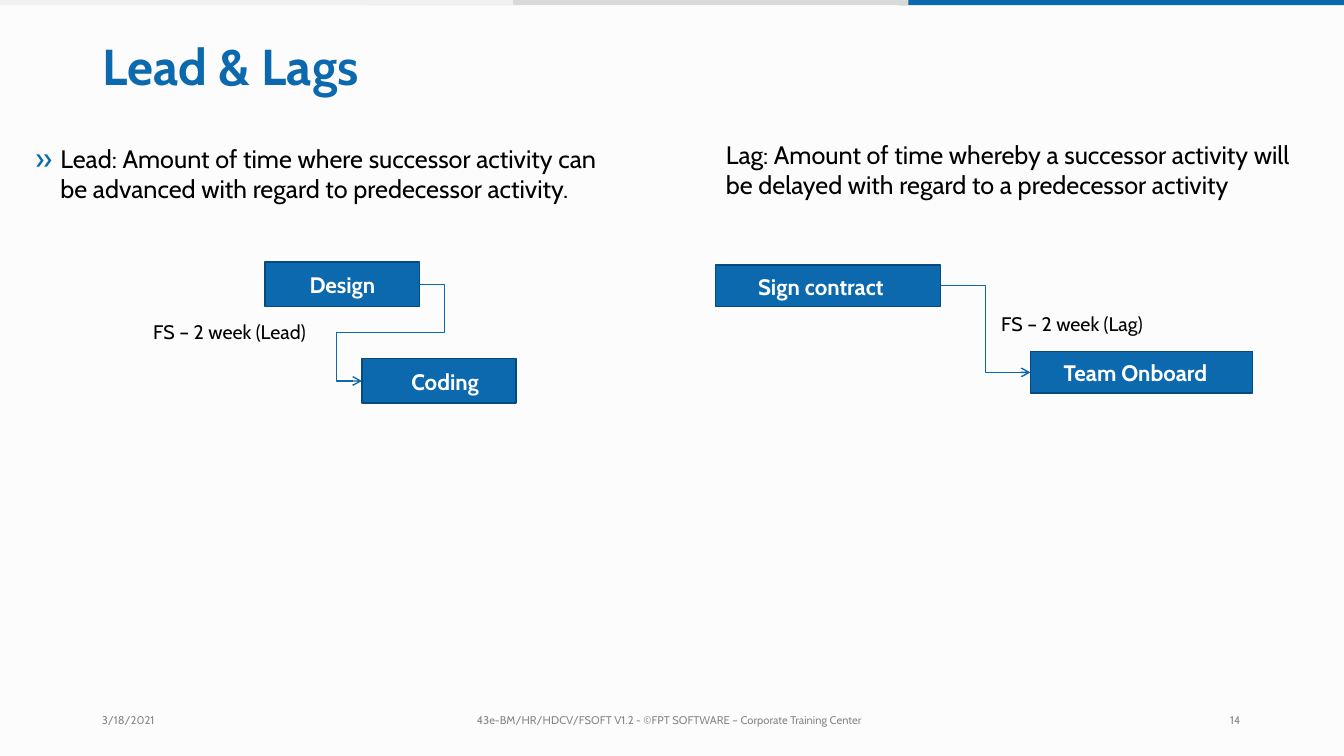
from lxml.etree import SubElement
from pptx import Presentation
from pptx.dml.color import RGBColor
from pptx.enum.shapes import MSO_CONNECTOR as Connector, MSO_SHAPE as Shape
from pptx.enum.text import MSO_ANCHOR as Anchor, PP_ALIGN as Align
from pptx.oxml.ns import qn
from pptx.util import Inches, Pt

BLUE = RGBColor(0x0D, 0x69, 0xAE)
NAVY = RGBColor(0x07, 0x4A, 0x80)
SILVER = RGBColor(0xD9, 0xD9, 0xD9)
PALE = RGBColor(0xF1, 0xF1, 0xF1)
PAPER = RGBColor(0xFC, 0xFC, 0xFC)
GRAY = RGBColor(0x88, 0x88, 0x88)
BLACK = RGBColor(0, 0, 0)
WHITE = RGBColor(0xFF, 0xFF, 0xFF)

TITLE = {"size": Pt(36), "bold": True}
BODY = {"size": Pt(18)}
ACTIVITY = {"size": Pt(16), "bold": True}
LABEL = {"size": Pt(14)}
FOOTER = {"size": Pt(8)}


class SlideBuilder:
    """Draws styled elements on one slide."""

    font_name = "Cabin"

    def __init__(self, slide):
        self.slide = slide
        slide.background.fill.solid()
        slide.background.fill.fore_color.rgb = PAPER

    def fill_text(self, shape, text, style, color, inset=0):
        frame = shape.text_frame
        layout = {"word_wrap": True, "margin_left": Inches(inset), "margin_right": 0,
                  "margin_top": Inches(0.01), "margin_bottom": 0}
        for name, value in layout.items():
            setattr(frame, name, value)
        paragraph = frame.paragraphs[0]
        paragraph.text = text
        font = paragraph.runs[0].font
        for name, value in {"name": self.font_name, **style}.items():
            setattr(font, name, value)
        font.color.rgb = color
        return paragraph

    def text(self, left, top, width, height, text, style, color=BLACK):
        box = self.slide.shapes.add_textbox(*map(Inches, (left, top, width, height)))
        return self.fill_text(box, text, style, color)

    def bullet(self, paragraph, character, indent):
        properties = paragraph._p.get_or_add_pPr()
        properties.set("marL", str(Inches(indent)))
        properties.set("indent", str(-Inches(indent)))
        color = SubElement(properties, qn("a:buClr"))
        SubElement(color, qn("a:srgbClr"), val=str(BLUE))
        SubElement(properties, qn("a:buSzPct"), val="119000")
        SubElement(properties, qn("a:buFont"), typeface=self.font_name)
        SubElement(properties, qn("a:buChar"), char=character)

    def rectangle(self, left, top, width, height, color):
        shape = self.slide.shapes.add_shape(
            Shape.RECTANGLE, *map(Inches, (left, top, width, height)))
        shape.shadow.inherit = False
        shape.fill.solid()
        shape.fill.fore_color.rgb = color
        shape.line.fill.background()
        return shape

    def activity(self, left, top, width, height, text, inset):
        shape = self.rectangle(left, top, width, height, BLUE)
        shape.line.color.rgb = NAVY
        shape.line.width = Pt(0.96)
        paragraph = self.fill_text(shape, text, ACTIVITY, WHITE, inset)
        paragraph.alignment = Align.LEFT
        shape.text_frame.vertical_anchor = Anchor.MIDDLE
        return shape

    def arrow(self, predecessor, successor, preset="bentConnector3", bends=(50000,)):
        connector = self.slide.shapes.add_connector(Connector.ELBOW, 0, 0, 0, 0)
        connector.begin_connect(predecessor, 3)
        connector.end_connect(successor, 1)
        connector.line.color.rgb = BLUE
        connector.line.width = Pt(1)
        properties = connector._element.spPr
        SubElement(properties, qn("a:effectLst"))
        SubElement(properties.find(qn("a:ln")), qn("a:tailEnd"), type="arrow")
        geometry = properties.find(qn("a:prstGeom"))
        geometry.set("prst", preset)
        guides = geometry.find(qn("a:avLst"))
        for number, bend in enumerate(bends, 1):
            SubElement(guides, qn("a:gd"), name=f"adj{number}", fmla=f"val {bend}")


def main():
    presentation = Presentation()
    presentation.slide_width = Inches(13.33)
    presentation.slide_height = Inches(7.5)
    builder = SlideBuilder(presentation.slides.add_slide(presentation.slide_layouts[6]))

    for left, width, color in ((8.92, 4.41, BLUE), (3.64, 5.37, SILVER), (0, 5.09, PALE)):
        builder.rectangle(left, 0, width, 0.05, color)

    builder.text(1.02, 0.34, 10.9, 0.63, "Lead & Lags", TITLE, BLUE)
    lead = builder.text(
        0.35, 1.41, 5.67, 0.65,
        "Lead: Amount of time where successor activity can "
        "be advanced with regard to predecessor activity.", BODY)
    builder.bullet(lead, "»", 0.25)
    builder.text(
        7.2, 1.37, 5.7, 0.63,
        "Lag: Amount of time whereby a successor activity will "
        "be delayed with regard to a predecessor activity", BODY)

    design = builder.activity(2.63, 2.6, 1.53, 0.44, "Design", 0.44)
    coding = builder.activity(3.59, 3.56, 1.53, 0.44, "Coding", 0.49)
    contract = builder.activity(7.1, 2.63, 2.23, 0.41, "Sign contract", 0.42)
    onboard = builder.activity(10.22, 3.49, 2.2, 0.41, "Team Onboard", 0.33)
    builder.arrow(design, coding, "bentConnector5", (-43860, 50000, 143860))
    builder.arrow(contract, onboard)

    builder.text(1.52, 3.16, 1.6, 0.26, "FS – 2 week (Lead)", LABEL)
    builder.text(9.93, 3.08, 1.5, 0.26, "FS – 2 week (Lag)", LABEL)

    footers = (
        (1.01, 0.6, "3/18/2021"),
        (4.73, 4, "43e-BM/HR/HDCV/FSOFT V1.2 - ©FPT SOFTWARE – Corporate Training Center"),
        (12.2, 0.25, "14"),
    )
    for left, width, text in footers:
        builder.text(left, 7.07, width, 0.17, text, FOOTER, GRAY)

    presentation.save("out.pptx")


if __name__ == "__main__":
    main()
